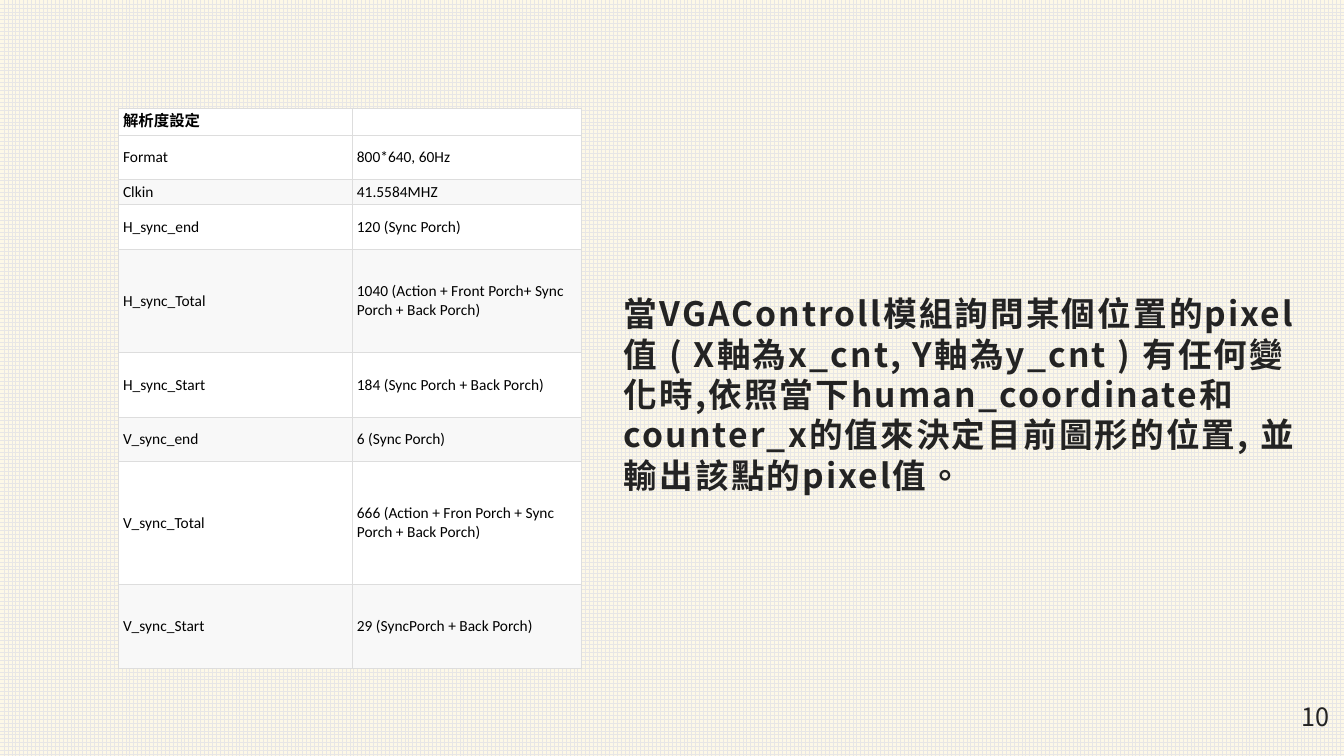
from lxml.etree import SubElement
from pptx import Presentation
from pptx.dml.color import RGBColor
from pptx.enum.dml import MSO_PATTERN
from pptx.enum.lang import MSO_LANGUAGE_ID
from pptx.enum.text import MSO_ANCHOR
from pptx.oxml import parse_xml
from pptx.oxml.ns import nsdecls, qn
from pptx.util import Inches, Pt

CREAM = RGBColor(0xFD, 0xF8, 0xE7)
GRID = RGBColor(0xE7, 0xE6, 0xE6)
WHITE = RGBColor(0xFF, 0xFF, 0xFF)
BAND = RGBColor(0xF8, 0xF8, 0xF8)
BORDER = RGBColor(0xDD, 0xDD, 0xDD)
BLACK = RGBColor(0, 0, 0)
INK = RGBColor(0x23, 0x23, 0x23)


def add_run(p, text, font, size, color, bold=False):
    """Add a run whose Latin and East Asian fonts agree."""
    r = p.add_run()
    r.text = text
    for name, value in dict(name=font, size=Pt(size), bold=bold).items():
        setattr(r.font, name, value)
    r.font.color.rgb = color
    SubElement(r.font._element, qn("a:ea"), typeface=font)
    return r


def add_borders(cell):
    """Draw a thin line on all four sides of a cell."""
    tcPr = cell._tc.get_or_add_tcPr()
    for i, side in enumerate(("lnL", "lnR", "lnT", "lnB")):
        tcPr.insert(i, parse_xml(
            f'<a:{side} {nsdecls("a")} w="{Pt(0.5)}"><a:solidFill>'
            f'<a:srgbClr val="{BORDER}"/></a:solidFill></a:{side}>'))


prs = Presentation()
prs.slide_width, prs.slide_height = Inches(13.33), Inches(7.5)
s = prs.slides.add_slide(prs.slide_layouts[6])

fill = s.background.fill
fill.patterned()
fill.pattern = MSO_PATTERN.LARGE_GRID
fill.fore_color.rgb = GRID
fill.back_color.rgb = CREAM

# Resolution settings: name, value, row height
settings = [
    ("解析度設定", "", 0.27),
    ("Format", "800*640, 60Hz", 0.44),
    ("Clkin", "41.5584MHZ", 0.25),
    ("H_sync_end", "120 (Sync Porch)", 0.44),
    ("H_sync_Total", "1040 (Action + Front Porch+ Sync Porch + Back Porch)", 1.03),
    ("H_sync_Start", "184 (Sync Porch + Back Porch)", 0.64),
    ("V_sync_end", "6 (Sync Porch)", 0.44),
    ("V_sync_Total", "666 (Action + Fron Porch + Sync Porch + Back Porch)", 1.22),
    ("V_sync_Start", "29 (SyncPorch + Back Porch)", 0.83),
]
cell_format = dict(
    vertical_anchor=MSO_ANCHOR.MIDDLE,
    margin_left=Inches(0.05), margin_right=Inches(0.05),
    margin_top=Inches(0.03), margin_bottom=Inches(0.03))
table = s.shapes.add_table(len(settings), 2, Inches(1.17), Inches(1.07),
                           Inches(4.6), Inches(5.56)).table
for column, width in zip(table.columns, (2.32, 2.28)):
    column.width = Inches(width)
for i, (*texts, height) in enumerate(settings):
    table.rows[i].height = Inches(height)
    for cell, text in zip(table.rows[i].cells, texts):
        for name, value in cell_format.items():
            setattr(cell, name, value)
        cell.fill.solid()
        cell.fill.fore_color.rgb = BAND if i and i % 2 == 0 else WHITE
        add_borders(cell)
        p = cell.text_frame.paragraphs[0]
        if text:
            add_run(p, text, "Calibri", 11, BLACK, bold=i == 0)
        else:
            SubElement(p._p, qn("a:endParaRPr"), sz="1100")

# Explanation
tf = s.shapes.add_textbox(Inches(6.09), Inches(2.86), Inches(6.98), Inches(2.98)).text_frame
tf.word_wrap = True
p = tf.paragraphs[0]
p.space_before = Pt(15)
p.line_spacing = 1.0
r = add_run(p, "當VGAControll模組詢問某個位置的pixel值 ( X軸為x_cnt, Y軸為y_cnt ) "
            "有任何變化時,依照當下human_coordinate和counter_x的值來決定目前圖形的位置, "
            "並輸出該點的pixel值。", "Noto Sans CJK TC", 24, INK, bold=True)
r.font.language_id = MSO_LANGUAGE_ID.TRADITIONAL_CHINESE
r.font._element.set("spc", "150")

# Slide number
tf = s.shapes.add_textbox(Inches(12.81), Inches(6.91), Inches(0.51), Inches(0.4)).text_frame
tf.word_wrap = False
add_run(tf.paragraphs[0], "10", "Noto Sans CJK JP", 18, INK)

prs.save("out.pptx")
